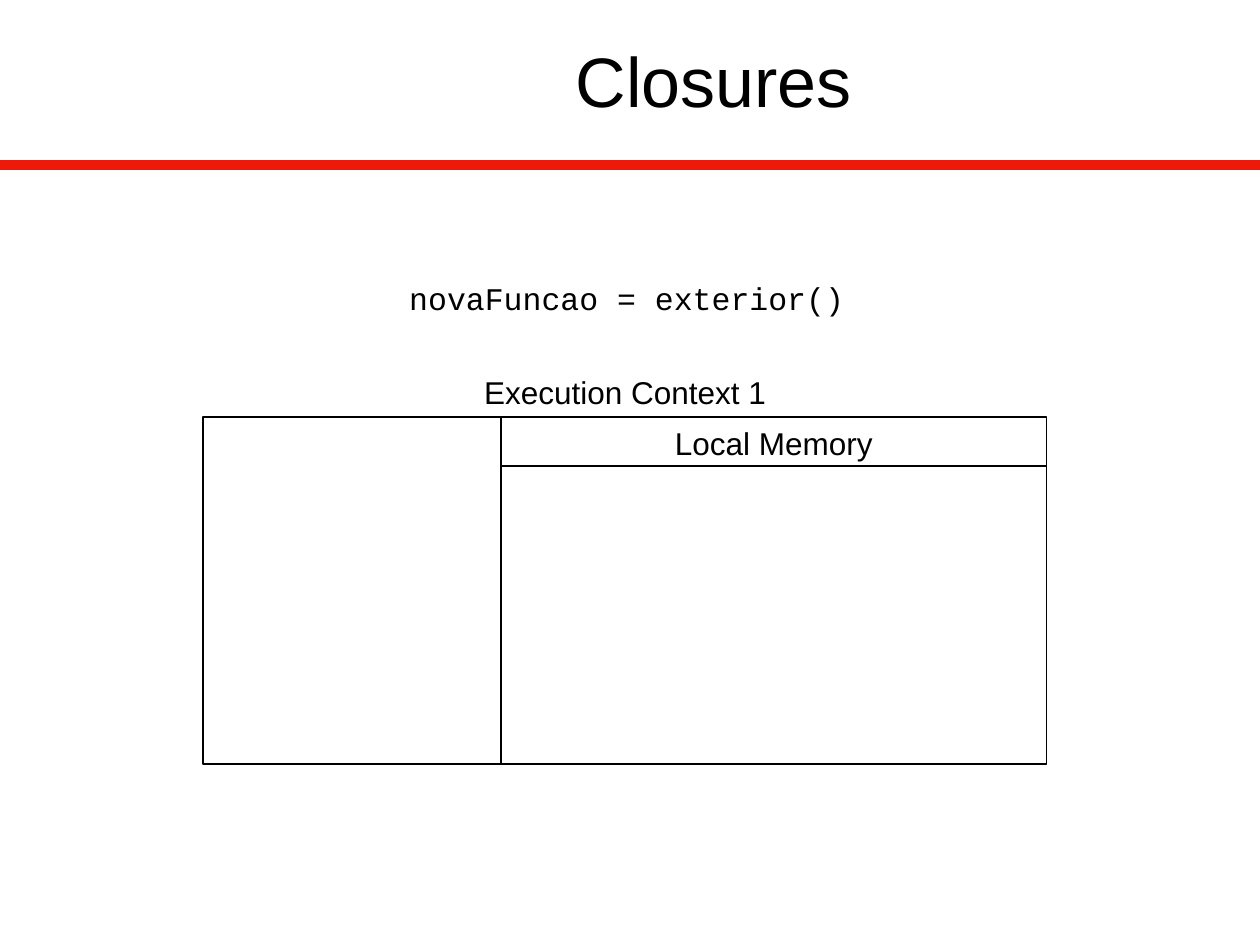
from dataclasses import dataclass

from lxml import etree
from pptx import Presentation
from pptx import util as u
from pptx.dml.color import RGBColor
from pptx.enum import shapes, text
from pptx.oxml import ns


@dataclass(frozen=True)
class Theme:
    ink: str = "000000"
    rule: str = "ED1909"
    sans: str = "Arial"
    mono: str = "Courier New"
    head: int = 40
    body: int = 18
    thin: int = 1
    thick: int = 6


def write(frame, words, font, size, color, align, anchor):
    """Put one formatted paragraph into a text frame."""
    frame.word_wrap = True
    frame.vertical_anchor = anchor
    line = frame.paragraphs[0]
    line.alignment = align
    run = line.add_run()
    run.text = words
    run.font.name = font
    run.font.size = u.Pt(size)
    run.font.color.rgb = RGBColor.from_string(color)


class Board:
    def __init__(self, slide, theme):
        self.slide = slide
        self.theme = theme

    def stroke(self, line, color, width):
        line.color.rgb = RGBColor.from_string(color or self.theme.ink)
        line.width = u.Pt(width or self.theme.thin)

    def label(self, words, x, y, w, h=1.02, font=None, size=None,
              align=text.PP_ALIGN.CENTER, anchor=text.MSO_ANCHOR.TOP):
        box = self.slide.shapes.add_textbox(*map(u.Cm, (x, y, w, h)))
        write(box.text_frame, words, font or self.theme.sans,
              size or self.theme.body, self.theme.ink, align, anchor)

    def line(self, x1, y1, x2, y2, color=None, width=None):
        link = self.slide.shapes.add_connector(
            shapes.MSO_CONNECTOR.STRAIGHT, *map(u.Cm, (x1, y1, x2, y2)))
        self.stroke(link.line, color, width)
        etree.SubElement(link._element.spPr, ns.qn("a:effectLst"))

    def frame(self, x, y, w, h):
        rect = self.slide.shapes.add_shape(
            shapes.MSO_SHAPE.RECTANGLE, *map(u.Cm, (x, y, w, h)))
        rect.shadow.inherit = False
        rect.fill.background()
        self.stroke(rect.line, None, None)


def main():
    deck = Presentation()
    deck.slide_width, deck.slide_height = u.Cm(25.4), u.Cm(19.05)
    theme = Theme()
    board = Board(deck.slides.add_slide(deck.slide_layouts[6]), theme)

    # Title and rule
    board.line(0, 3.33, 25.4, 3.33, color=theme.rule, width=theme.thick)
    board.label("Closures", 3.89, -0.23, 21, 3.66, size=theme.head,
                anchor=text.MSO_ANCHOR.MIDDLE)

    # Execution context, split into thread and local memory
    left, top, wide, high = 4.1, 8.4, 17, 7
    split, row = left + 6, 1
    right = left + wide
    board.line(split, top, split, top + high)
    board.line(split, top + row, right, top + row)
    board.label("Execution Context 1", left, top - row, wide)
    board.label("Local Memory", split, top + 0.03, right - split)
    board.frame(left, top, wide, high)

    # Call being run
    board.label("novaFuncao = exterior()", 8, 5.5, 9.5, font=theme.mono,
                align=text.PP_ALIGN.LEFT)

    deck.save("out.pptx")


if __name__ == "__main__":
    main()
